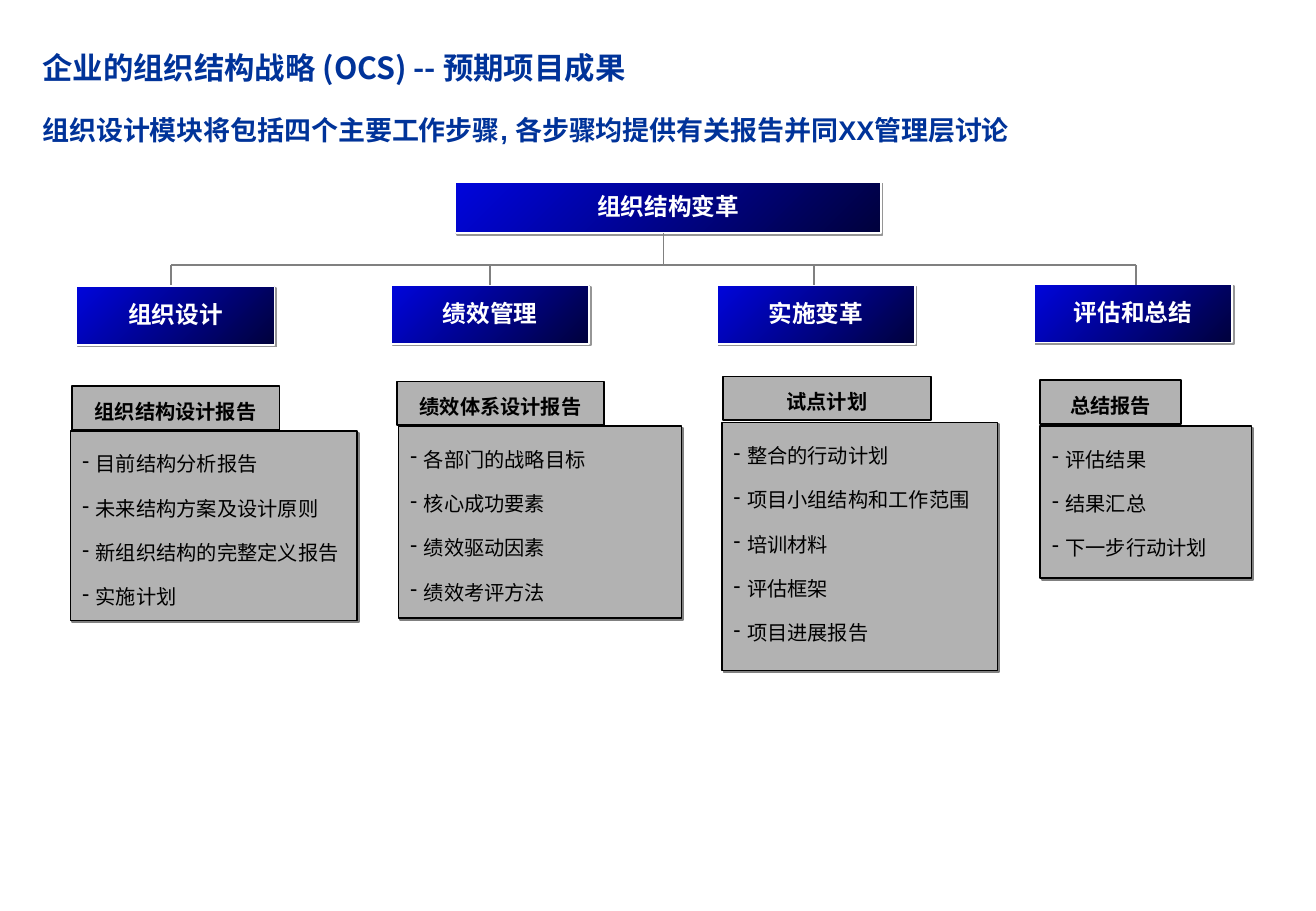
from dataclasses import dataclass

from lxml import etree
from pptx import Presentation
from pptx.dml.color import RGBColor
from pptx.enum.shapes import MSO_CONNECTOR, MSO_SHAPE
from pptx.enum.text import MSO_ANCHOR, PP_ALIGN
from pptx.oxml.ns import qn
from pptx.util import Inches, Pt

RECTANGLE = MSO_SHAPE.RECTANGLE
STRAIGHT = MSO_CONNECTOR.STRAIGHT
TOP, MIDDLE = MSO_ANCHOR.TOP, MSO_ANCHOR.MIDDLE
LEFT, CENTER = PP_ALIGN.LEFT, PP_ALIGN.CENTER

CJK_FONT = "Noto Sans CJK SC"
LATIN_FONT = "Calibri"
TITLE_BLUE, GRAY, RULE_GRAY = "003399", "B2B2B2", "808080"
BLACK, WHITE = "000000", "FFFFFF"
GRADIENT = ("0005DC", "00013C")
LINE_WIDTH = Pt(1)
TRUNK_X, RAIL_Y = 5.46, 2.18


@dataclass
class Step:
    """One work step: its heading, report tab, deliverables and boxes."""
    heading: str
    heading_at: tuple
    drop_x: float
    report: str
    tab_at: tuple
    deliverables: list
    body_at: tuple


STEPS = [
    Step("组织设计", (0.63, 2.36, 1.63, 0.48), 1.41,
         "组织结构设计报告", (0.59, 3.18, 1.71, 0.36),
         ["目前结构分析报告", "未来结构方案及设计原则", "新组织结构的完整定义报告", "实施计划"],
         (0.58, 3.55, 2.36, 1.56)),
    Step("绩效管理", (3.22, 2.35, 1.63, 0.48), 4.03,
         "绩效体系设计报告", (3.27, 3.14, 1.7, 0.36),
         ["各部门的战略目标", "核心成功要素", "绩效驱动因素", "绩效考评方法"],
         (3.28, 3.51, 2.33, 1.58)),
    Step("实施变革", (5.9, 2.35, 1.63, 0.48), 6.7,
         "试点计划", (5.95, 3.1, 1.71, 0.36),
         ["整合的行动计划", "项目小组结构和工作范围", "培训材料", "评估框架", "项目进展报告"],
         (5.94, 3.48, 2.27, 2.04)),
    Step("评估和总结", (8.51, 2.34, 1.63, 0.48), 9.35,
         "总结报告", (8.56, 3.13, 1.16, 0.36),
         ["评估结果", "结果汇总", "下一步行动计划"],
         (8.56, 3.51, 1.74, 1.25)),
]


def paint(color_format, color):
    """Set a colour from a hex string."""
    color_format.rgb = RGBColor.from_string(color)


def set_frame(box, anchor, top_inset=0.05, wrap=True):
    """Set the insets, anchor and wrapping of a box and return its frame."""
    frame = box.text_frame
    frame.margin_left = frame.margin_right = Inches(0.1)
    frame.margin_top, frame.margin_bottom = Inches(top_inset), Inches(0.05)
    frame.vertical_anchor = anchor
    frame.word_wrap = wrap
    return frame


def add_span(para, text, size, color, font=CJK_FONT, bold=False):
    """Add one run with Latin and East Asian fonts."""
    span = para.add_run()
    span.text = text
    span.font.size = Pt(size)
    span.font.bold = bold
    span.font.name = font
    paint(span.font.color, color)
    properties = span.font._element
    etree.SubElement(properties, qn("a:ea"), typeface=CJK_FONT)


def add_dash(para):
    """Give a paragraph a hanging dash bullet."""
    properties = para._p.get_or_add_pPr()
    indent = Inches(0.11)
    properties.set("marL", str(indent))
    properties.set("indent", str(-indent))
    bullet_color = etree.SubElement(properties, qn("a:buClr"))
    etree.SubElement(bullet_color, qn("a:srgbClr"), val=BLACK)
    etree.SubElement(properties, qn("a:buChar"), char="-")


def add_shadow(box, color):
    """Add a hard shadow to the lower right."""
    effects = box._element.spPr.find(qn("a:effectLst"))
    shadow = etree.SubElement(effects, qn("a:outerShdw"), blurRad="0",
                              dist=str(Pt(1.4)), dir="2700000", algn="ctr",
                              rotWithShape="0")
    etree.SubElement(shadow, qn("a:srgbClr"), val=color)


def add_box(slide, at, line):
    """Add a plain outlined rectangle."""
    box = slide.shapes.add_shape(RECTANGLE, *map(Inches, at))
    box.shadow.inherit = False
    paint(box.line.color, line)
    box.line.width = LINE_WIDTH
    return box


def add_gray_box(slide, at):
    """Add a gray box with a black outline."""
    box = add_box(slide, at, BLACK)
    box.fill.solid()
    paint(box.fill.fore_color, GRAY)
    return box


def add_label(frame, text, size, color):
    """Write a centred bold label."""
    para = frame.paragraphs[0]
    para.alignment = CENTER
    para.line_spacing = 0.9
    add_span(para, text, size, color, LATIN_FONT, bold=True)


def add_heading(slide, text, at):
    """Add a blue gradient heading box."""
    box = add_box(slide, at, WHITE)
    box.fill.gradient()
    box.fill.gradient_angle = 315
    for stop, color in zip(box.fill.gradient_stops, GRADIENT):
        paint(stop.color, color)
    add_shadow(box, "969696")
    add_label(set_frame(box, MIDDLE, wrap=False), text, 14, WHITE)


def add_report_tab(slide, text, at):
    """Add the gray tab that names a report."""
    box = add_gray_box(slide, at)
    add_label(set_frame(box, TOP, 0.13), text, 12, BLACK)


def add_deliverables(slide, items, at):
    """Add the gray box that lists deliverables."""
    box = add_gray_box(slide, at)
    add_shadow(box, RULE_GRAY)
    frame = set_frame(box, TOP, 0.13)
    for index, item in enumerate(items):
        para = frame.add_paragraph() if index else frame.paragraphs[0]
        para.alignment = LEFT
        para.line_spacing = 1.2
        para.space_before = para.space_after = Pt(4.5)
        add_dash(para)
        add_span(para, item, 12, BLACK)


def add_title(slide, text, at, size, font):
    """Add a bold blue title line."""
    box = slide.shapes.add_textbox(*map(Inches, at))
    para = set_frame(box, MIDDLE).paragraphs[0]
    add_span(para, text, size, TITLE_BLUE, font, bold=True)


def add_rule(slide, start, end):
    """Add a thin gray line of the tree."""
    rule = slide.shapes.add_connector(STRAIGHT, *map(Inches, start + end))
    paint(rule.line.color, RULE_GRAY)
    rule.line.width = LINE_WIDTH
    etree.SubElement(rule._element.spPr, qn("a:effectLst"))


def main():
    """Build the deck and save it."""
    deck = Presentation()
    deck.slide_width, deck.slide_height = Inches(10.83), Inches(7.5)
    slide = deck.slides.add_slide(deck.slide_layouts[6])
    add_title(slide, "企业的组织结构战略 (OCS) -- 预期项目成果",
              (0.25, 0.24, 6.76, 0.63), 18, CJK_FONT)
    add_title(slide, "组织设计模块将包括四个主要工作步骤, 各步骤均提供有关报告并同XX管理层讨论",
              (0.25, 0.72, 10.58, 0.69), 16, "Arial")
    for step in STEPS:
        add_deliverables(slide, step.deliverables, step.body_at)
        add_report_tab(slide, step.report, step.tab_at)
        add_heading(slide, step.heading, step.heading_at)
        add_rule(slide, (step.drop_x, RAIL_Y), (step.drop_x, 2.35))
    add_heading(slide, "组织结构变革", (3.75, 1.5, 3.5, 0.42))
    add_rule(slide, (STEPS[0].drop_x, RAIL_Y), (STEPS[-1].drop_x, RAIL_Y))
    add_rule(slide, (TRUNK_X, 1.92), (TRUNK_X, RAIL_Y))
    deck.save("out.pptx")


main()
